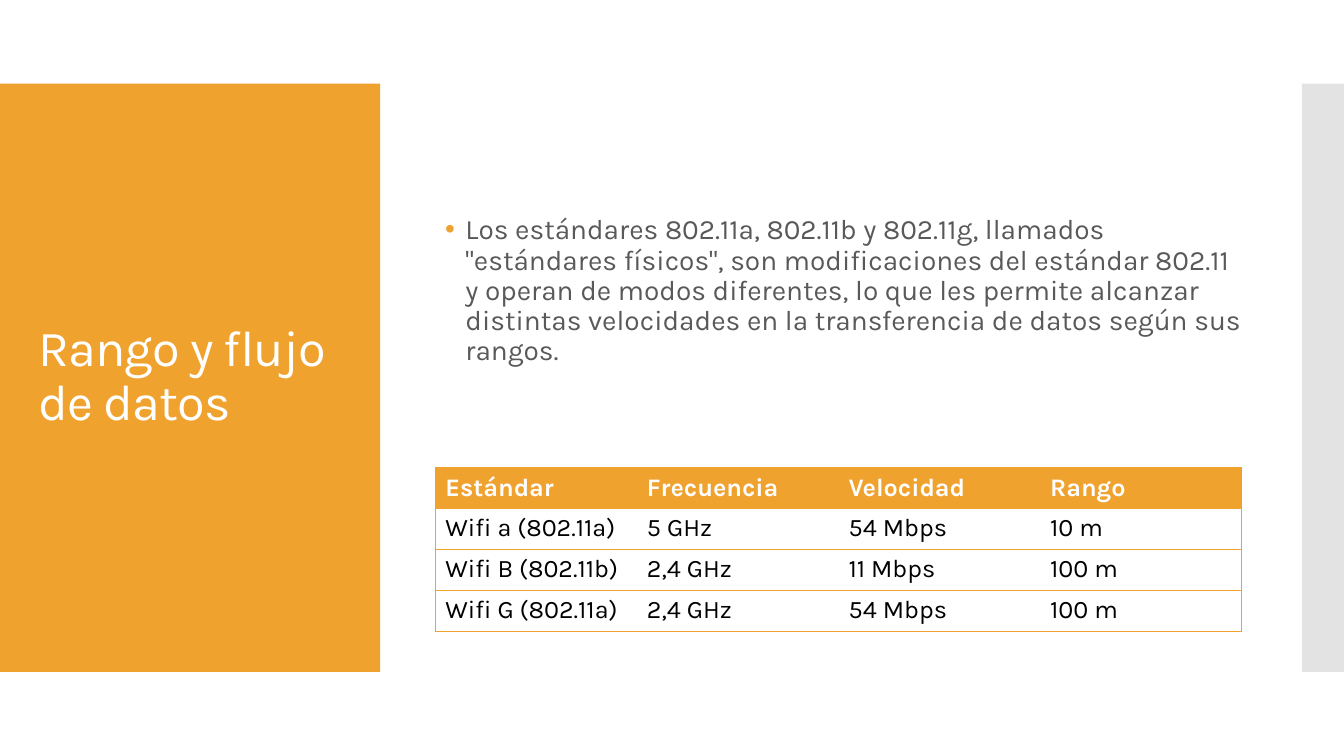
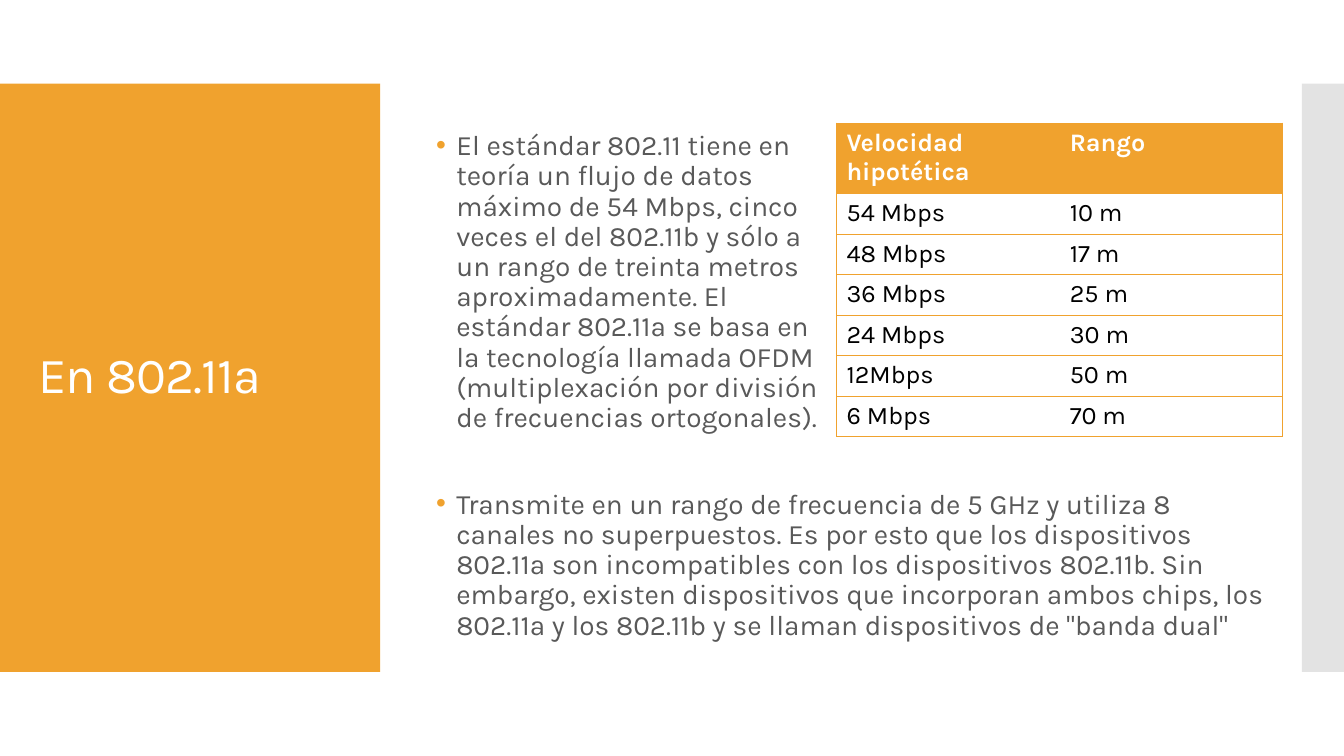
from lxml.etree import SubElement
from pptx import Presentation
from pptx.dml.color import RGBColor
from pptx.enum.shapes import MSO_SHAPE as Shape
from pptx.enum.text import MSO_ANCHOR as Anchor
from pptx.oxml.ns import qn
from pptx.util import Cm, Pt

COLORS = {
    "accent": "F0A22E",
    "band": "C8C8C8",
    "body": "595959",
    "white": "FFFFFF",
    "black": "000000",
}
FONT = "Karla"
SLIDE_WIDTH, SLIDE_HEIGHT = 33.87, 19.05
PANEL_TOP, PANEL_HEIGHT = 2.11, 14.82
PANEL_WIDTH, BAND_WIDTH = 9.58, 1.06
TITLE_BOX = (0.71, 3.12, 8.18, 12.78)


def color(name):
    return RGBColor.from_string(COLORS[name])


def style_runs(paragraph, size, color_name, bold=False):
    for run in paragraph.runs:
        run.font.name = FONT
        run.font.size = Pt(size)
        run.font.bold = bold
        run.font.color.rgb = color(color_name)


def add_block(slide, box, fill, opacity=100):
    block = slide.shapes.add_shape(Shape.RECTANGLE, *map(Cm, box))
    block.shadow.inherit = False
    block.fill.solid()
    block.fill.fore_color.rgb = color(fill)
    block.line.fill.background()
    if opacity < 100:
        fill_color = block._element.spPr.find(".//" + qn("a:srgbClr"))
        SubElement(fill_color, qn("a:alpha"), val=str(opacity * 1000))


def add_text(slide, box, text, size, color_name):
    """Place one vertically centred paragraph and return it."""
    frame = slide.shapes.add_textbox(*map(Cm, box)).text_frame
    frame.word_wrap = True
    frame.vertical_anchor = Anchor.MIDDLE
    frame.text = text
    paragraph = frame.paragraphs[0]
    paragraph.line_spacing = 0.9
    style_runs(paragraph, size, color_name)
    return paragraph


def add_bullet(slide, box, text):
    paragraph = add_text(slide, box, text, 20, "body")
    paragraph.space_before = Pt(12)
    properties = paragraph._p.get_or_add_pPr()
    indent = Cm(0.51)
    properties.set("marL", str(indent))
    properties.set("indent", str(-indent))
    bullet_color = SubElement(properties, qn("a:buClr"))
    SubElement(bullet_color, qn("a:srgbClr"), val=COLORS["accent"])
    SubElement(properties, qn("a:buFont"), typeface="Arial")
    SubElement(properties, qn("a:buChar"), char="•")


def set_borders(cell, visible_sides):
    properties = cell._tc.get_or_add_tcPr()
    for side in "LRTB":
        line = SubElement(properties, qn(f"a:ln{side}"), w=str(Pt(0.75)))
        if side in visible_sides:
            fill = SubElement(line, qn("a:solidFill"))
            SubElement(fill, qn("a:srgbClr"), val=COLORS["accent"])
        else:
            SubElement(line, qn("a:noFill"))


def add_grid(slide, left, top, width, header_height, row_height, rows):
    """Place a table with a filled header and ruled rows."""
    column_count = len(rows[0])
    height = header_height + row_height * (len(rows) - 1)
    table = slide.shapes.add_table(
        len(rows), column_count, Cm(left), Cm(top), Cm(width), Cm(height)
    ).table
    table.first_row = table.horz_banding = False
    for row_index, values in enumerate(rows):
        is_header = row_index == 0
        table.rows[row_index].height = Cm(header_height if is_header else row_height)
        for column_index, value in enumerate(values):
            cell = table.cell(row_index, column_index)
            cell.text = value
            style_runs(cell.text_frame.paragraphs[0], 18,
                       "white" if is_header else "black", is_header)
            sides = "TB"
            if column_index == 0:
                sides += "L"
            if column_index == column_count - 1:
                sides += "R"
            set_borders(cell, sides)
            cell.fill.solid()
            cell.fill.fore_color.rgb = color("accent" if is_header else "white")


def add_titled_slide(presentation, title):
    """Start a slide with the title panel and the side band."""
    slide = presentation.slides.add_slide(presentation.slide_layouts[6])
    add_block(slide, (0, PANEL_TOP, PANEL_WIDTH, PANEL_HEIGHT), "accent")
    band_left = SLIDE_WIDTH - BAND_WIDTH
    add_block(slide, (band_left, PANEL_TOP, BAND_WIDTH, PANEL_HEIGHT), "band", 50)
    paragraph = add_text(slide, TITLE_BOX, title, 36, "white")
    paragraph.runs[0]._r.get_or_add_rPr().set("spc", "-60")
    return slide


def build_range_slide(presentation):
    slide = add_titled_slide(presentation, "Rango y flujo de datos")
    add_bullet(
        slide, (10.97, 2.41, 20.7, 9.86),
        'Los estándares 802.11a, 802.11b y 802.11g, llamados "estándares físicos", '
        "son modificaciones del estándar 802.11 y operan de modos diferentes, lo que "
        "les permite alcanzar distintas velocidades en la transferencia de datos "
        "según sus rangos.")
    # Comparison of the standards
    add_grid(slide, 10.97, 11.79, 20.32, 1.03, 1.03, [
        ("Estándar", "Frecuencia", "Velocidad", "Rango"),
        ("Wifi a (802.11a)", "5 GHz", "54 Mbps", "10 m"),
        ("Wifi B (802.11b)", "2,4 GHz", "11 Mbps", "100 m"),
        ("Wifi G (802.11a)", "2,4 GHz", "54 Mbps", "100 m"),
    ])


def build_standard_a_slide(presentation):
    slide = add_titled_slide(presentation, "En 802.11a")
    add_bullet(
        slide, (10.74, 3.12, 10.34, 8),
        "El estándar 802.11 tiene en teoría un flujo de datos máximo de 54 Mbps, "
        "cinco veces el del 802.11b y sólo a un rango de treinta metros "
        "aproximadamente. El estándar 802.11a se basa en la tecnología llamada OFDM "
        "(multiplexación por división de frecuencias ortogonales).")
    # Speed by range
    add_grid(slide, 21.08, 3.1, 11.25, 1.75, 1.02, [
        ("Velocidad hipotética", "Rango"),
        ("54 Mbps", "10 m"),
        ("48 Mbps", "17 m"),
        ("36 Mbps", "25 m"),
        ("24 Mbps", "30 m"),
        ("12Mbps", "50 m"),
        ("6 Mbps", "70 m"),
    ])
    add_bullet(
        slide, (10.74, 11.61, 21.46, 5.28),
        "Transmite en un rango de frecuencia de 5 GHz y utiliza 8 canales no "
        "superpuestos. Es por esto que los dispositivos 802.11a son incompatibles "
        "con los dispositivos 802.11b. Sin embargo, existen dispositivos que "
        "incorporan ambos chips, los 802.11a y los 802.11b y se llaman dispositivos "
        'de "banda dual"')


def main():
    presentation = Presentation()
    presentation.slide_width = Cm(SLIDE_WIDTH)
    presentation.slide_height = Cm(SLIDE_HEIGHT)
    build_range_slide(presentation)
    build_standard_a_slide(presentation)
    presentation.save("out.pptx")


if __name__ == "__main__":
    main()
